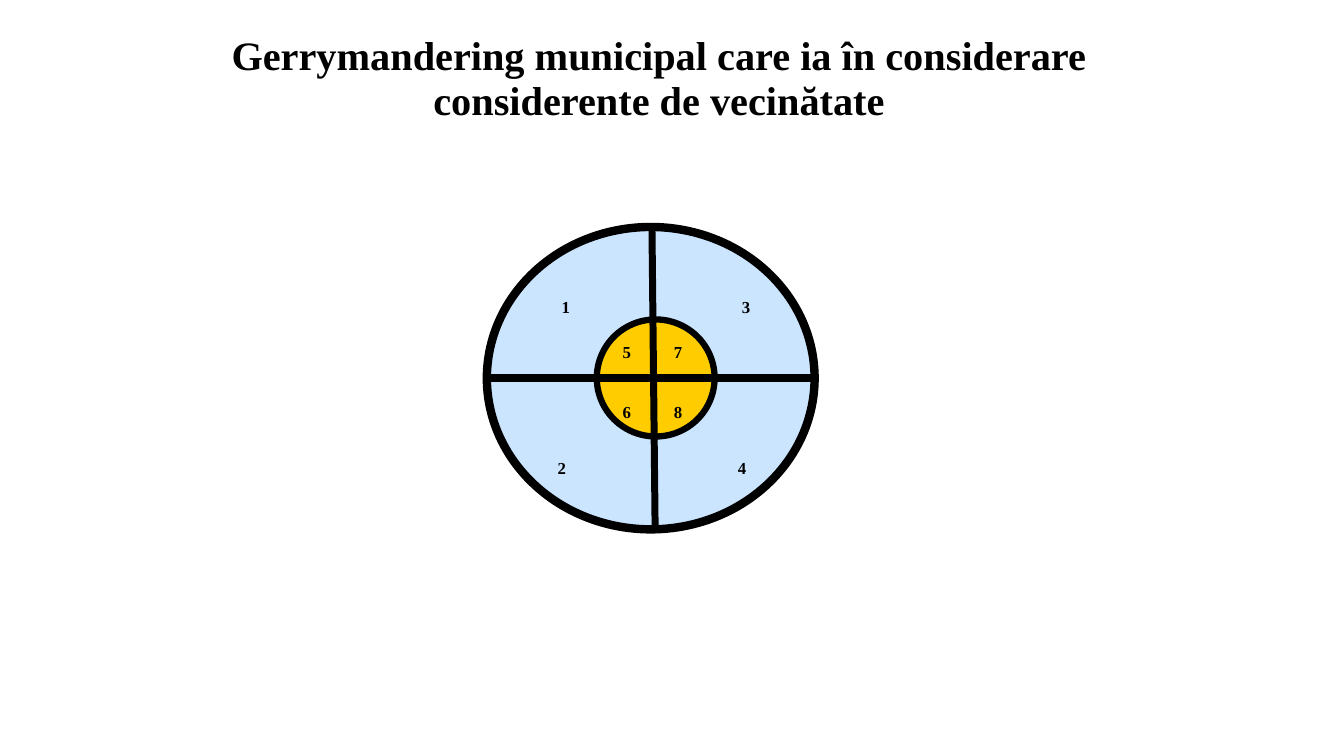
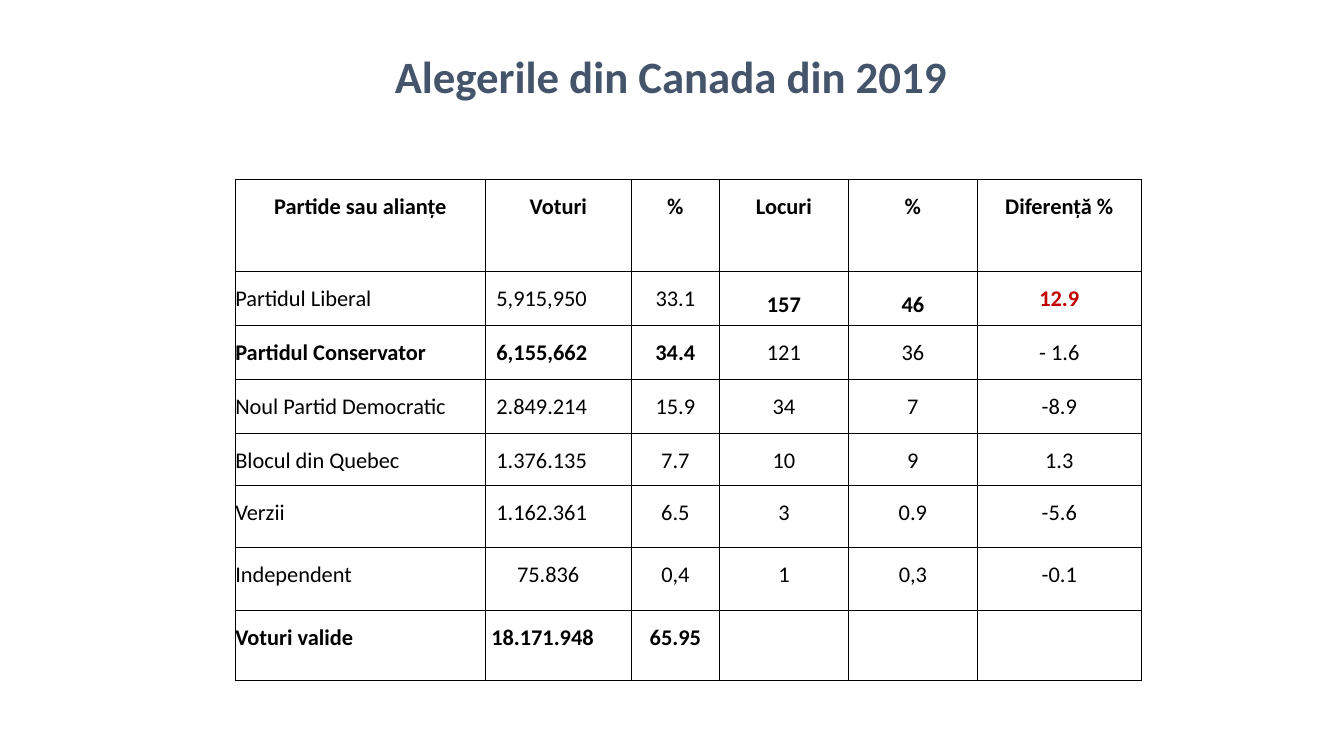
from dataclasses import dataclass

from lxml.etree import SubElement
from pptx import Presentation
from pptx.dml.color import RGBColor as Rgb
from pptx.enum.shapes import MSO_CONNECTOR as Connector, MSO_SHAPE as Shape
from pptx.enum.text import MSO_ANCHOR as Anchor, PP_ALIGN as Align
from pptx.oxml.ns import qn
from pptx.util import Cm, Pt


@dataclass(frozen=True)
class Theme:
    black: str = "000000"
    white: str = "FFFFFF"
    slate: str = "44546A"
    red: str = "C00000"
    sky: str = "99CCFF"
    gold: str = "FFCC00"
    serif: str = "Times New Roman"
    sans: str = "Calibri"
    serif_title: float = 28.8
    sans_title: float = 32
    table_text: float = 16
    label: float = 12
    border: float = 1


THEME = Theme()
TITLE_ONLY = 5

DISTRICTS = (
    ("1", 14.26, 7.74),
    ("2", 14.16, 11.79),
    ("3", 18.8, 7.74),
    ("4", 18.7, 11.79),
    ("5", 15.8, 8.87),
    ("6", 15.8, 10.38),
    ("7", 17.09, 8.87),
    ("8", 17.09, 10.38),
)

RESULTS = (
    ("Partide sau alianțe", "Voturi", "%", "Locuri", "%", "Diferență %"),
    ("Partidul Liberal", "5,915,950", "33.1", "157", "46", "12.9"),
    ("Partidul Conservator", "6,155,662", "34.4", "121", "36", "- 1.6"),
    ("Noul Partid Democratic", "2.849.214", "15.9", "34", "7", "-8.9"),
    ("Blocul din Quebec", "1.376.135", "7.7", "10", "9", "1.3"),
    ("Verzii", "1.162.361", "6.5", "3", "0.9", "-5.6"),
    ("Independent", "75.836", "0,4", "1", "0,3", "-0.1"),
    ("Voturi valide", "18.171.948", "65.95", "", "", ""),
)
COLUMN_WIDTHS = (6.3, 3.68, 2.22, 3.25, 3.25, 4.13)
ROW_HEIGHTS = (2.32, 1.36, 1.36, 1.36, 1.31, 1.56, 1.59, 1.76)
VOTE_INDENTS = (0, 0.28, 0.28, 0.28, 0.28, 0.28, 0.8, 0.15)
BOLD_COLUMNS = {0: range(6), 1: range(3, 6), 2: range(3), 7: range(3)}
CENTRED_CELLS = {(1, 3), (1, 4)}
RED_CELL = (1, 5)


def write_text(frame, text, *, size, font, color=THEME.black, bold=True,
               align=Align.CENTER, spacing=1.0):
    for number, line in enumerate(text.split("\n")):
        para = frame.add_paragraph() if number else frame.paragraphs[0]
        para.alignment = align
        para.line_spacing = spacing
        para.space_before = Pt(0)
        span = para.add_run()
        span.text = line
        span.font.size = Pt(size)
        span.font.name = font
        span.font.bold = bold
        span.font.color.rgb = Rgb.from_string(color)


def clear_margins(frame):
    frame.margin_left = frame.margin_right = 0
    frame.margin_top = frame.margin_bottom = 0


def add_titled_page(deck, text, left, top, width, height, **style):
    page = deck.slides.add_slide(deck.slide_layouts[TITLE_ONLY])
    title = page.shapes.title
    title.left, title.top = Cm(left), Cm(top)
    title.width, title.height = Cm(width), Cm(height)
    title.text_frame.vertical_anchor = Anchor.MIDDLE
    write_text(title.text_frame, text, **style)
    return page


def add_zone(page, left, top, width, height, color, weight, opacity=100):
    zone = page.shapes.add_shape(Shape.FLOWCHART_CONNECTOR, Cm(left), Cm(top),
                                 Cm(width), Cm(height))
    zone.shadow.inherit = False
    zone.fill.solid()
    zone.fill.fore_color.rgb = Rgb.from_string(color)
    zone.line.color.rgb = Rgb.from_string(THEME.black)
    zone.line.width = Pt(weight)
    if opacity < 100:
        tint = zone.fill._xPr.find(qn("a:solidFill"))[0]
        SubElement(tint, qn("a:alpha"), val=str(opacity * 1000))


def add_divider(page, start, end, weight):
    divider = page.shapes.add_connector(
        Connector.STRAIGHT, *(Cm(value) for value in (*start, *end)))
    divider.line.color.rgb = Rgb.from_string(THEME.black)
    divider.line.width = Pt(weight)
    SubElement(divider._element.spPr, qn("a:effectLst"))


def add_label(page, text, center_x, center_y, width=1, height=0.6):
    box = page.shapes.add_textbox(Cm(center_x - width / 2), Cm(center_y - height / 2),
                                  Cm(width), Cm(height))
    frame = box.text_frame
    frame.word_wrap = True
    frame.vertical_anchor = Anchor.MIDDLE
    clear_margins(frame)
    write_text(frame, text, size=THEME.label, font=THEME.serif)


def set_borders(cell):
    properties = cell._tc.get_or_add_tcPr()
    for side in ("lnL", "lnR", "lnT", "lnB"):
        edge = SubElement(properties, qn(f"a:{side}"), w=str(Pt(THEME.border)))
        fill = SubElement(edge, qn("a:solidFill"))
        SubElement(fill, qn("a:srgbClr"), val=THEME.black)


def format_cell(cell, text, row, column):
    set_borders(cell)
    cell.fill.solid()
    cell.fill.fore_color.rgb = Rgb.from_string(THEME.white)
    clear_margins(cell)
    if (row, column) in CENTRED_CELLS:
        cell.vertical_anchor = Anchor.MIDDLE
    if column == 1:
        cell.margin_left = Cm(VOTE_INDENTS[row])
    if text:
        write_text(
            cell.text_frame, text, size=THEME.table_text, font=THEME.sans,
            color=THEME.red if (row, column) == RED_CELL else THEME.black,
            bold=column in BOLD_COLUMNS.get(row, ()),
            align=Align.LEFT if row and column < 2 else Align.CENTER,
            spacing=1.5)


def add_results_table(page, left, top):
    table = page.shapes.add_table(
        len(RESULTS), len(COLUMN_WIDTHS), Cm(left), Cm(top),
        Cm(sum(COLUMN_WIDTHS)), Cm(sum(ROW_HEIGHTS))).table
    table.first_row = table.horz_banding = False
    for column, width in zip(table.columns, COLUMN_WIDTHS):
        column.width = Cm(width)
    for row, height in zip(table.rows, ROW_HEIGHTS):
        row.height = Cm(height)
    for row, texts in enumerate(RESULTS):
        for column, text in enumerate(texts):
            format_cell(table.cell(row, column), text, row, column)


def build_district_page(deck):
    page = add_titled_page(
        deck,
        "Gerrymandering municipal care ia în considerare\nconsiderente de vecinătate",
        0.71, 0.7, 31.8, 2.6,
        size=THEME.serif_title, font=THEME.serif, spacing=0.93)
    add_zone(page, 12.27, 5.72, 8.26, 7.62, THEME.sky, 6, opacity=50)
    add_zone(page, 15.04, 8.05, 2.97, 2.95, THEME.gold, 4.5)
    add_divider(page, (16.43, 5.72), (16.51, 13.34), 5)
    add_divider(page, (12.27, 9.53), (20.53, 9.53), 6)
    for text, center_x, center_y in DISTRICTS:
        add_label(page, text, center_x, center_y)


def build_election_page(deck):
    page = add_titled_page(
        deck, "Alegerile din Canada din 2019", 6.12, 1.12, 21.59, 1.57,
        size=THEME.sans_title, font=THEME.sans, color=THEME.slate)
    add_results_table(page, 5.93, 4.52)


def main():
    deck = Presentation()
    deck.slide_width, deck.slide_height = Cm(33.87), Cm(19.05)
    build_district_page(deck)
    build_election_page(deck)
    deck.save("out.pptx")


if __name__ == "__main__":
    main()
